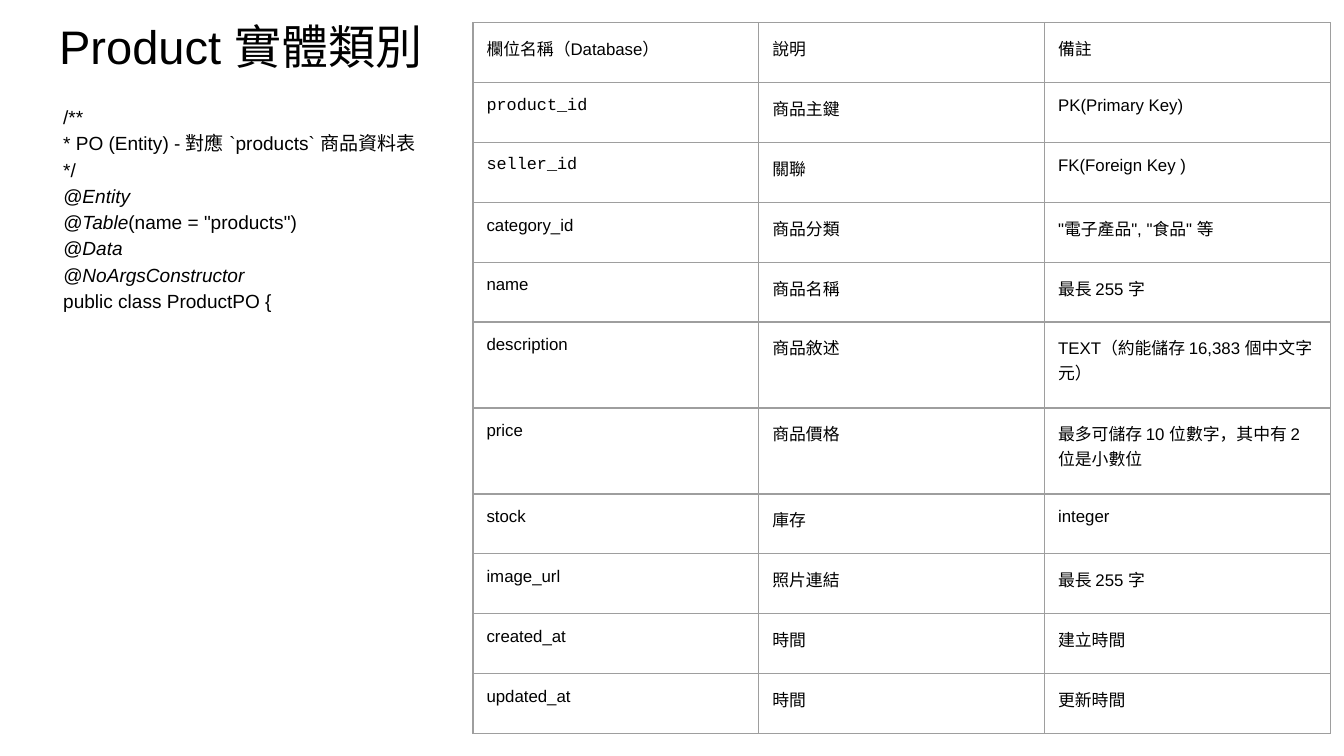
from lxml.etree import SubElement
from pptx import Presentation
from pptx.dml.color import RGBColor
from pptx.enum.text import MSO_ANCHOR, MSO_AUTO_SIZE, PP_ALIGN
from pptx.oxml import parse_xml
from pptx.oxml.ns import nsdecls, qn
from pptx.util import Inches, Pt

BLACK = RGBColor(0x00, 0x00, 0x00)
GRAY = RGBColor(0x9E, 0x9E, 0x9E)

CODE_LINES = [
    [("/**", False)],
    [("* PO (Entity) - 對應 `products` 商品資料表", False)],
    [("*/", False)],
    [("@Entity", True)],
    [("@Table", True), ('(name = "products")', False)],
    [("@Data", True)],
    [("@NoArgsConstructor", True)],
    [("public class ProductPO {", False)],
]

FIELDS = [
    ("欄位名稱（Database）", "說明", "備註"),
    ("product_id", "商品主鍵", "PK(Primary Key)"),
    ("seller_id", "關聯", "FK(Foreign Key )"),
    ("category_id", "商品分類", '"電子產品", "食品" 等'),
    ("name", "商品名稱", "最長 255 字"),
    ("description", "商品敘述", "TEXT（約能儲存 16,383 個中文字元）"),
    ("price", "商品價格", "最多可儲存 10 位數字，其中有 2 位是小數位"),
    ("stock", "庫存", "integer"),
    ("image_url", "照片連結", "最長 255 字"),
    ("created_at", "時間", "建立時間"),
    ("updated_at", "時間", "更新時間"),
]
KEY_FIELDS = {"product_id", "seller_id"}
TALL_FIELDS = {"description", "price"}
TALL_HEIGHT = 0.64


class SlideBuilder:
    font = "Arial"
    code_font = "Courier New"
    margin = Inches(0.1)

    def __init__(self, presentation):
        self.slide = presentation.slides.add_slide(presentation.slide_layouts[1])

    def format_run(self, run, size, font=None, italic=False):
        run.font.name = font or self.font
        run.font.size = Pt(size)
        run.font.italic = italic
        run.font.color.rgb = BLACK

    def set_east_asian_font(self, run):
        SubElement(run.font._element, qn("a:ea")).set("typeface", self.font)

    def place(self, shape, left, top, width, height):
        shape.left, shape.top = Inches(left), Inches(top)
        shape.width, shape.height = Inches(width), Inches(height)
        frame = shape.text_frame
        frame.margin_left = frame.margin_right = self.margin
        frame.margin_top = frame.margin_bottom = self.margin
        frame.word_wrap = True
        frame.auto_size = MSO_AUTO_SIZE.NONE
        frame.vertical_anchor = MSO_ANCHOR.TOP
        return frame

    def title(self, text, *box):
        frame = self.place(self.slide.shapes.title, *box)
        frame.text = text
        frame.paragraphs[0].alignment = PP_ALIGN.LEFT
        run = frame.paragraphs[0].runs[0]
        self.format_run(run, 25.2)
        self.set_east_asian_font(run)

    def code(self, lines, *box):
        frame = self.place(self.slide.placeholders[1], *box)
        for index, parts in enumerate(lines):
            paragraph = frame.add_paragraph() if index else frame.paragraphs[0]
            paragraph.line_spacing = 1.15
            paragraph.space_before = Pt(0)
            properties = paragraph._p.get_or_add_pPr()
            properties.set("marL", str(Inches(0.03)))
            properties.set("indent", "0")
            SubElement(properties, qn("a:buNone"))
            for text, italic in parts:
                run = paragraph.add_run()
                run.text = text
                self.format_run(run, 10.2, italic=italic)
                self.set_east_asian_font(run)

    def border(self, cell):
        properties = cell._tc.get_or_add_tcPr()
        for index, side in enumerate(("lnL", "lnR", "lnT", "lnB")):
            properties.insert(index, parse_xml(
                f'<a:{side} {nsdecls("a")} w="{Pt(0.75)}"><a:solidFill>'
                f'<a:srgbClr val="{GRAY}"/></a:solidFill></a:{side}>'))

    def cell(self, cell, text):
        cell.text = text
        cell.margin_left = cell.margin_right = self.margin
        cell.margin_top = cell.margin_bottom = self.margin
        cell.fill.background()
        self.border(cell)
        font = self.code_font if text in KEY_FIELDS else self.font
        self.format_run(cell.text_frame.paragraphs[0].runs[0], 9, font)

    def table(self, rows, left, top, width, height):
        table = self.slide.shapes.add_table(
            len(rows), len(rows[0]), Inches(left), Inches(top),
            Inches(width), Inches(height)).table
        table.first_row = table.horz_banding = False
        tall_count = len(TALL_FIELDS)
        row_height = (height - tall_count * TALL_HEIGHT) / (len(rows) - tall_count)
        for row, values in zip(table.rows, rows):
            row.height = Inches(TALL_HEIGHT if values[0] in TALL_FIELDS else row_height)
            for cell, text in zip(row.cells, values):
                self.cell(cell, text)


def main():
    presentation = Presentation()
    presentation.slide_width = Inches(10)
    presentation.slide_height = presentation.slide_width * 9 // 16
    builder = SlideBuilder(presentation)
    builder.title("Product 實體類別", 0.34, 0.03, 3.02, 0.63)
    builder.code(CODE_LINES, 0.34, 0.66, 3.18, 1.7)
    builder.table(FIELDS, 3.52, 0.17, 6.38, 5.29)
    presentation.save("out.pptx")


if __name__ == "__main__":
    main()
